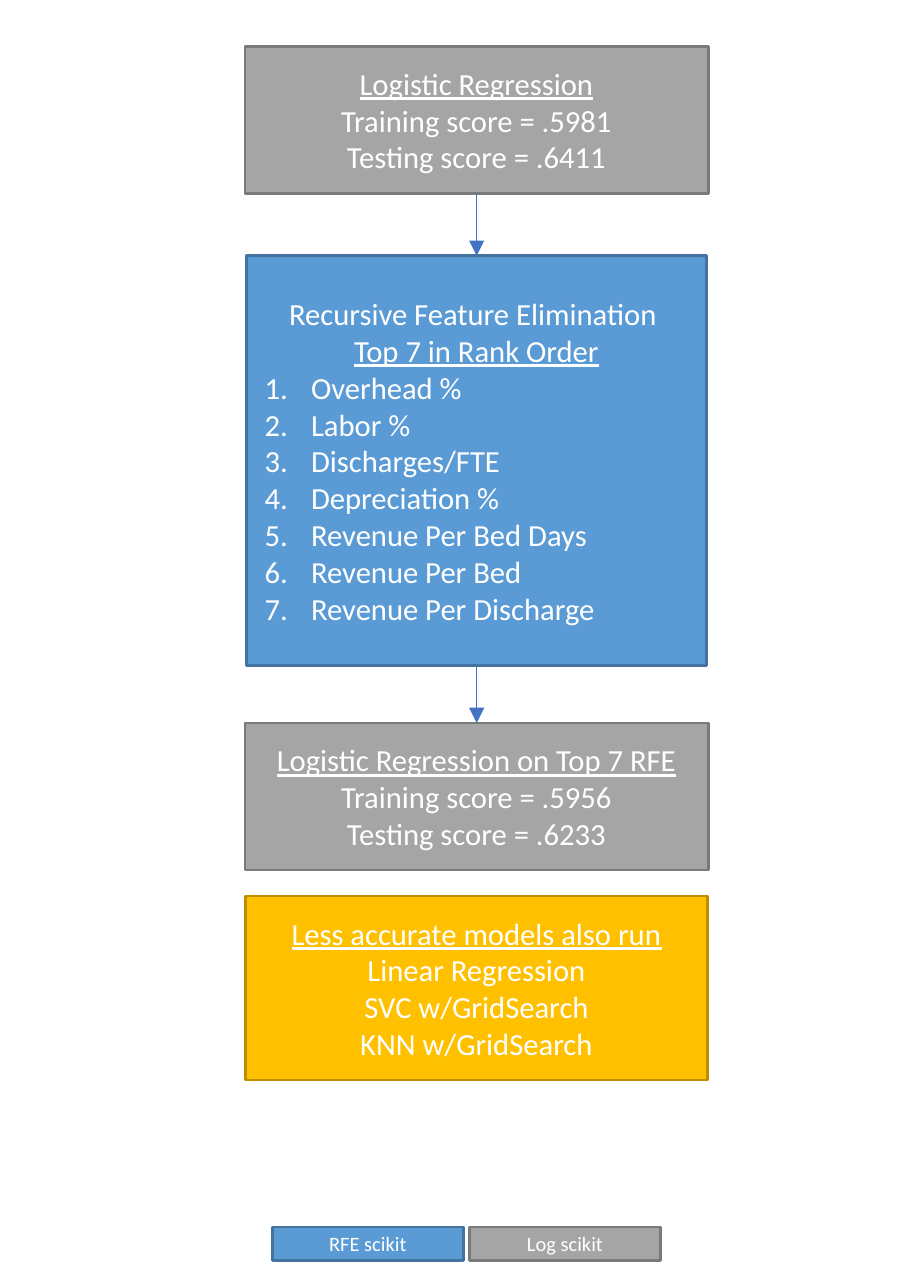
from pptx import Presentation
from pptx.dml.color import RGBColor
from pptx.enum.shapes import MSO_CONNECTOR, MSO_SHAPE
from pptx.enum.text import MSO_ANCHOR, PP_ALIGN
from pptx.oxml.ns import qn
from pptx.util import Cm, Pt
from lxml import etree

RECTANGLE = MSO_SHAPE.RECTANGLE
STRAIGHT = MSO_CONNECTOR.STRAIGHT
MIDDLE = MSO_ANCHOR.MIDDLE
CENTER, LEFT = PP_ALIGN.CENTER, PP_ALIGN.LEFT
TOP_SIDE, BOTTOM_SIDE = 0, 2

THEME = {
    "rfe": ("5B9BD5", "43739E"),
    "log": ("A5A5A5", "7A7A7A"),
    "other": ("FFC000", "BD8E00"),
    "text": "FFFFFF",
    "arrow": "4472C4",
    "font": "Calibri",
    "body": 12,
    "legend": 8,
    "border": 1,
    "arrow_width": 0.5,
}

# style "title" is underlined, "rank" is numbered
STEPS = [
    {"role": "log", "width": 6.4, "height": 2.03, "gap": 0.86, "lines": [
        ("title", "Logistic Regression"),
        ("plain", "Training score = .5981"),
        ("plain", "Testing score = .6411")]},
    {"role": "rfe", "width": 6.35, "height": 5.66, "gap": 0.79, "lines": [
        ("plain", "Recursive Feature Elimination "),
        ("title", "Top 7 in Rank Order"),
        ("rank", "Overhead %"),
        ("rank", "Labor %"),
        ("rank", "Discharges/FTE"),
        ("rank", "Depreciation %"),
        ("rank", "Revenue Per Bed Days"),
        ("rank", "Revenue Per Bed"),
        ("rank", "Revenue Per Discharge")]},
    {"role": "log", "width": 6.4, "height": 2.03, "gap": 0.36, "lines": [
        ("title", "Logistic Regression on Top 7 RFE"),
        ("plain", "Training score = .5956"),
        ("plain", "Testing score = .6233")]},
    {"role": "other", "width": 6.38, "height": 2.54, "gap": 0, "lines": [
        ("title", "Less accurate models also run"),
        ("plain", "Linear Regression"),
        ("plain", "SVC w/GridSearch"),
        ("plain", "KNN w/GridSearch")]},
]
LEGEND = [("rfe", "RFE scikit"), ("log", "Log scikit")]

SLIDE_WIDTH, SLIDE_HEIGHT = 12.7, 17.78
FLOW_CENTER, FLOW_TOP = 6.58, 0.64
LEGEND_LEFT, LEGEND_TOP = 3.76, 16.94
LEGEND_WIDTH, LEGEND_HEIGHT, LEGEND_PITCH = 2.64, 0.46, 2.72
RANK_INDENT = Cm(0.64)


def set_all(target, values):
    for name, value in values.items():
        setattr(target, name, value)


def number_paragraph(paragraph):
    properties = paragraph._p.get_or_add_pPr()
    properties.set("marL", str(RANK_INDENT))
    properties.set("indent", str(-RANK_INDENT))
    etree.SubElement(properties, qn("a:buFont"), typeface="+mj-lt")
    etree.SubElement(properties, qn("a:buAutoNum"), type="arabicPeriod")


def add_box(slide, role, bounds, lines, size):
    box = slide.shapes.add_shape(RECTANGLE, *map(Cm, bounds))
    fill, border = THEME[role]
    box.shadow.inherit = False
    box.fill.solid()
    box.fill.fore_color.rgb = RGBColor.from_string(fill)
    box.line.color.rgb = RGBColor.from_string(border)
    box.line.width = Pt(THEME["border"])
    frame = box.text_frame
    set_all(frame, {"word_wrap": True, "vertical_anchor": MIDDLE})
    for index, (style, wording) in enumerate(lines):
        paragraph = frame.add_paragraph() if index else frame.paragraphs[0]
        paragraph.alignment = LEFT if style == "rank" else CENTER
        if style == "rank":
            number_paragraph(paragraph)
        run = paragraph.add_run()
        run.text = wording
        set_all(run.font, {"name": THEME["font"], "size": Pt(size),
                           "underline": style == "title"})
        run.font.color.rgb = RGBColor.from_string(THEME["text"])
    return box


def add_arrow(slide, upper, lower):
    arrow = slide.shapes.add_connector(STRAIGHT, 0, 0, 0, 0)
    arrow.begin_connect(upper, BOTTOM_SIDE)
    arrow.end_connect(lower, TOP_SIDE)
    arrow.line.color.rgb = RGBColor.from_string(THEME["arrow"])
    arrow.line.width = Pt(THEME["arrow_width"])
    etree.SubElement(arrow.line._get_or_add_ln(), qn("a:tailEnd"), type="triangle")
    etree.SubElement(arrow._element.spPr, qn("a:effectLst"))


def main():
    deck = Presentation()
    set_all(deck, {"slide_width": Cm(SLIDE_WIDTH), "slide_height": Cm(SLIDE_HEIGHT)})
    slide = deck.slides.add_slide(deck.slide_layouts[6])

    for index, (role, label) in enumerate(LEGEND):
        left = LEGEND_LEFT + index * LEGEND_PITCH
        add_box(slide, role, (left, LEGEND_TOP, LEGEND_WIDTH, LEGEND_HEIGHT),
                [("plain", label)], THEME["legend"])

    top, flow = FLOW_TOP, []
    for step in STEPS:
        left = FLOW_CENTER - step["width"] / 2
        flow.append(add_box(slide, step["role"],
                            (left, top, step["width"], step["height"]),
                            step["lines"], THEME["body"]))
        top += step["height"] + step["gap"]

    baseline, elimination, refit, _ = flow
    for upper, lower in ((baseline, elimination), (elimination, refit)):
        add_arrow(slide, upper, lower)

    deck.save("out.pptx")


if __name__ == "__main__":
    main()
